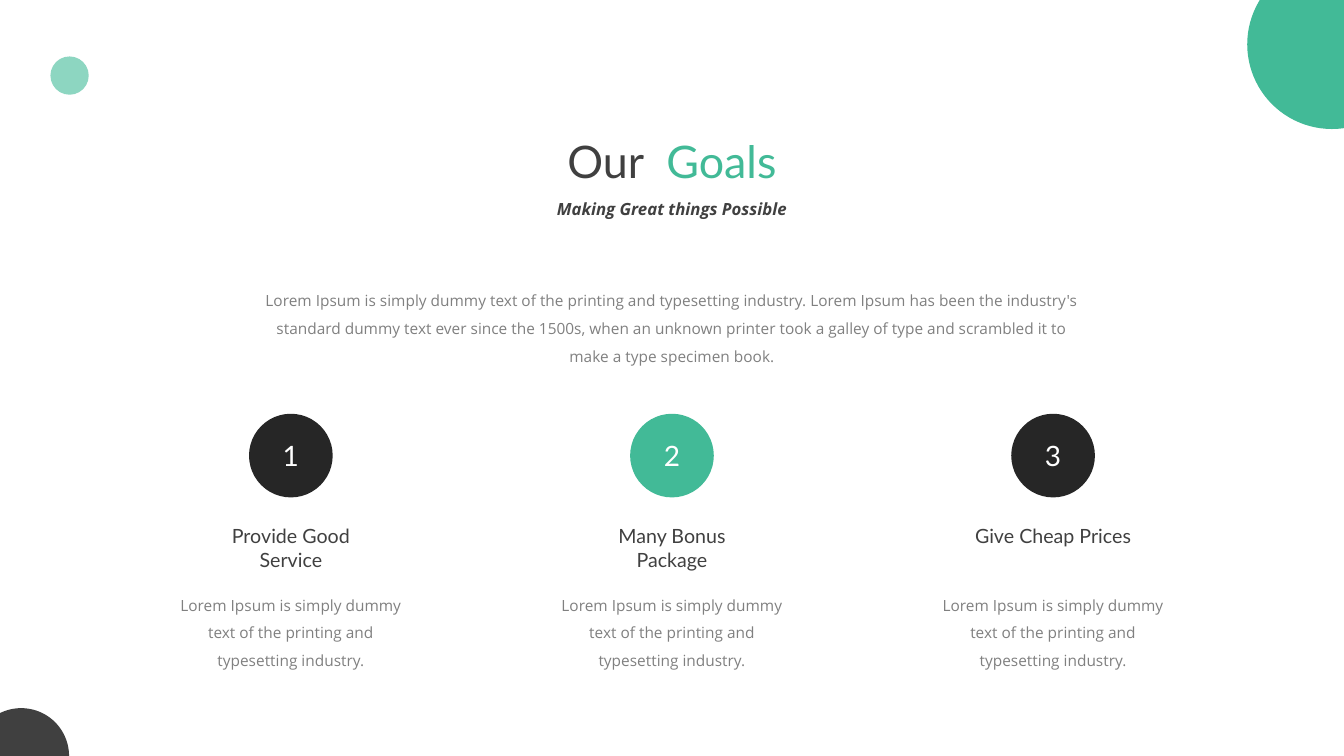
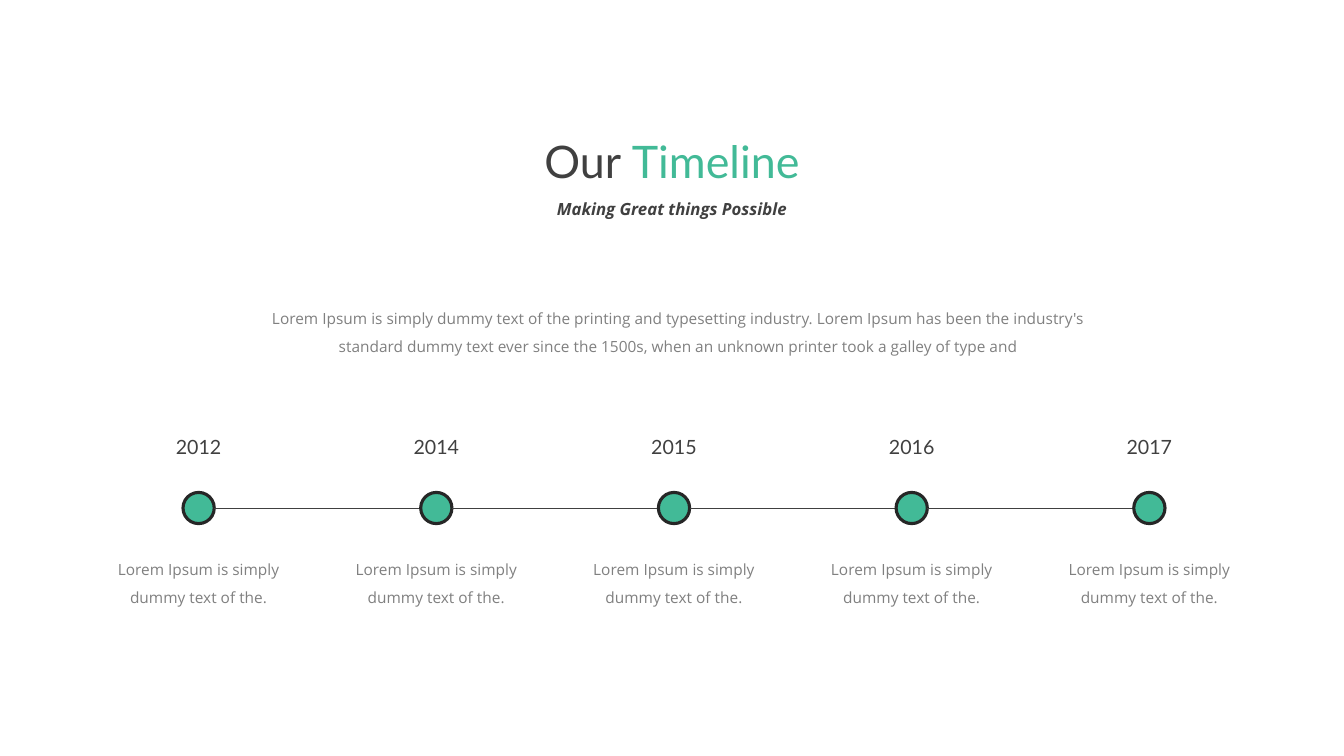
from pptx import Presentation
from pptx.dml.color import RGBColor
from pptx.enum import shapes, text
from pptx.oxml.ns import qn
from pptx.util import Inches, Pt
from lxml import etree

GREEN = RGBColor(0x42, 0xBA, 0x97)
MINT = RGBColor(0x8D, 0xD6, 0xC1)
DARK = RGBColor(0x40, 0x40, 0x40)
BLACK = RGBColor(0x26, 0x26, 0x26)
GREY = RGBColor(0x80, 0x80, 0x80)
WHITE = RGBColor(0xFF, 0xFF, 0xFF)

TITLE = {"name": "Lato", "size": Pt(32), "color": DARK}
SUBTITLE = {"name": "Open Sans", "size": Pt(12), "color": DARK, "bold": True, "italic": True}
HEADING = {"name": "Lato", "size": Pt(14), "color": DARK}
NUMBER = {"name": "Lato", "size": Pt(20), "color": WHITE}
BODY = {"name": "Open Sans", "size": Pt(11), "color": GREY}

TAGLINE = "Making Great things Possible"
LOREM = "Lorem Ipsum is simply dummy text of the printing and typesetting industry."
INTRO = (LOREM + " Lorem Ipsum has been the industry's standard dummy text ever since "
         "the 1500s, when an unknown printer took a galley of type and")
GOALS_INTRO = INTRO + " scrambled it to make a type specimen book."
GOALS = [
    ("1", "Provide Good Service", BLACK),
    ("2", "Many Bonus Package", GREEN),
    ("3", "Give Cheap Prices", BLACK),
]
YEARS = ["2012", "2014", "2015", "2016", "2017"]
YEAR_NOTE = "Lorem Ipsum is simply dummy text of the."
CORNER_DOTS = [
    (0.21, 7.5, 0.95, DARK),
    (0.69, 0.75, 0.38, MINT),
    (13.21, 0.44, 1.68, GREEN),
]

WIDTH, HEIGHT = 13.33, 7.5
MIDDLE = WIDTH / 2
GOAL_PITCH = 3.78
FIRST_YEAR_X, LAST_YEAR_X = 1.97, 11.4
MARKER_Y, MARKER_SIZE = 5.04, 0.31


def add_run(paragraph, words, style):
    run = paragraph.add_run()
    run.text = words
    for attribute, value in style.items():
        if attribute == "color":
            run.font.color.rgb = value
        else:
            setattr(run.font, attribute, value)


def fill_text(frame, runs, spacing=1.0, anchor=text.MSO_ANCHOR.TOP):
    settings = {"word_wrap": True, "auto_size": text.MSO_AUTO_SIZE.NONE,
                "vertical_anchor": anchor}
    for attribute, value in settings.items():
        setattr(frame, attribute, value)
    paragraph = frame.paragraphs[0]
    paragraph.alignment = text.PP_ALIGN.CENTER
    paragraph.line_spacing = spacing
    for words, style in runs:
        add_run(paragraph, words, style)


def add_text(slide, center, top, width, height, words, style, spacing=1.0):
    box = slide.shapes.add_textbox(Inches(center - width / 2), Inches(top),
                                   Inches(width), Inches(height))
    fill_text(box.text_frame, [(words, style)], spacing)


def add_circle(slide, x, y, size, color, outline=None):
    circle = slide.shapes.add_shape(
        shapes.MSO_SHAPE.OVAL, Inches(x - size / 2), Inches(y - size / 2),
        Inches(size), Inches(size))
    circle.shadow.inherit = False
    circle.fill.solid()
    circle.fill.fore_color.rgb = color
    if outline is None:
        circle.line.fill.background()
    else:
        circle.line.color.rgb = outline
        circle.line.width = Pt(2.25)
    return circle


def add_link(slide, start_x, end_x, y):
    link = slide.shapes.add_connector(shapes.MSO_CONNECTOR.STRAIGHT, Inches(start_x),
                                      Inches(y), Inches(end_x), Inches(y))
    link.line.color.rgb = DARK
    link.line.width = Pt(0.5)
    etree.SubElement(link._element.spPr, qn("a:effectLst"))


def add_titled_slide(deck, lead, accent):
    slide = deck.slides.add_slide(deck.slide_layouts[5])
    title = slide.shapes.title
    place = {"left": MIDDLE - 2.48, "top": 1.28, "width": 4.96, "height": 0.64}
    for attribute, value in place.items():
        setattr(title, attribute, Inches(value))
    fill_text(title.text_frame, [(lead, TITLE), (accent, {**TITLE, "color": GREEN})])
    add_text(slide, MIDDLE, 1.92, 3.1, 0.3, TAGLINE, SUBTITLE)
    return slide


def build_goals(deck):
    slide = add_titled_slide(deck, "Our  ", "Goals")
    for x, y, size, color in CORNER_DOTS:
        add_circle(slide, x, y, size, color)
    add_text(slide, MIDDLE, 2.75, 8.38, 0.9, GOALS_INTRO, BODY, 1.5)
    for index, (number, heading, color) in enumerate(GOALS):
        x = MIDDLE + (index - 1) * GOAL_PITCH
        badge = add_circle(slide, x, 4.52, 0.83, color)
        fill_text(badge.text_frame, [(number, NUMBER)], anchor=text.MSO_ANCHOR.MIDDLE)
        add_text(slide, x, 5.15, 1.92, 0.57, heading, HEADING)
        add_text(slide, x, 5.77, 2.59, 0.9, LOREM, BODY, 1.5)


def build_timeline(deck):
    slide = add_titled_slide(deck, "Our ", "Timeline")
    add_text(slide, 6.73, 2.93, 8.57, 0.63, INTRO, BODY, 1.5)
    pitch = (LAST_YEAR_X - FIRST_YEAR_X) / (len(YEARS) - 1)
    radius = MARKER_SIZE / 2
    for index, year in enumerate(YEARS):
        x = FIRST_YEAR_X + index * pitch
        if index:
            add_link(slide, x - pitch + radius, x - radius, MARKER_Y)
        add_circle(slide, x, MARKER_Y, MARKER_SIZE, GREEN, BLACK)
        add_text(slide, x, 4.27, 1.33, 0.34, year, HEADING)
        add_text(slide, x, 5.42, 1.82, 0.63, YEAR_NOTE, BODY, 1.5)


def main():
    deck = Presentation()
    deck.slide_width, deck.slide_height = Inches(WIDTH), Inches(HEIGHT)
    build_goals(deck)
    build_timeline(deck)
    deck.save("out.pptx")


if __name__ == "__main__":
    main()
